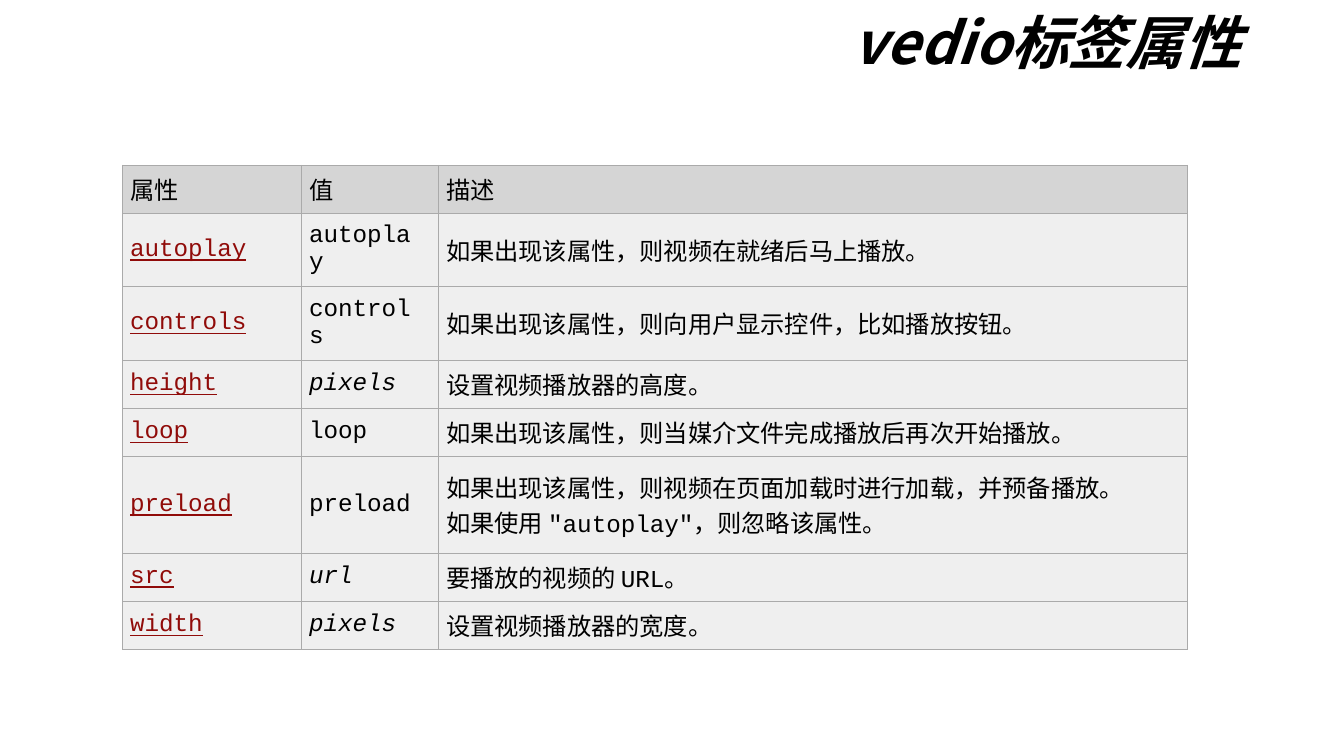
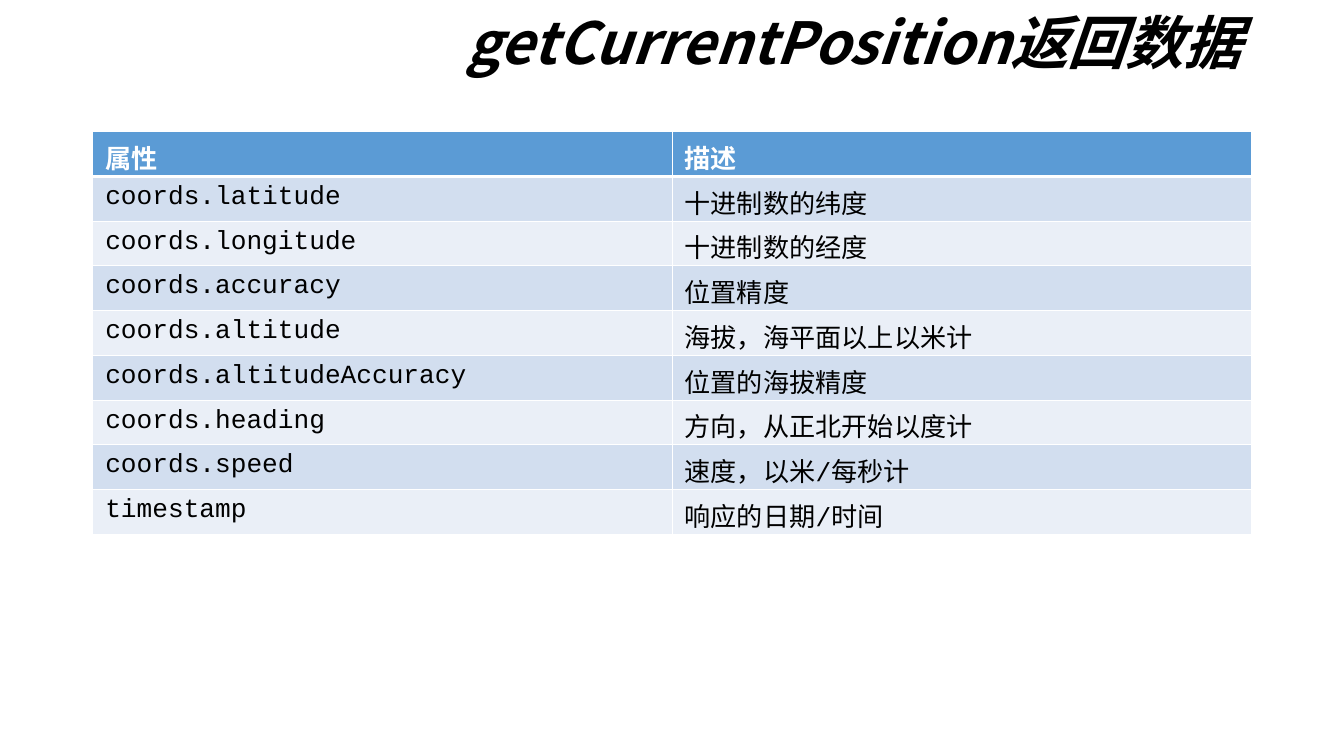
from lxml import etree
from pptx import Presentation
from pptx import util as u
from pptx.dml import color
from pptx.enum import text as t
from pptx.oxml import ns

COLORS = {
    "ink": "000000",
    "paper": "FFFFFF",
    "link": "900B09",
    "grey_line": "AAAAAA",
    "grey_head": "D5D5D5",
    "grey_body": "EFEFEF",
    "blue_head": "5B9BD5",
    "blue_odd": "D2DEEF",
    "blue_even": "EAEFF7",
}
CODE, HAN = "Courier New", "Noto Sans CJK JP"
TITLE_BOX = (3.47, 0, 20.17, 1.73)

ATTRIBUTES = [
    ("属性", "值", "描述"),
    ("autoplay", "autoplay", "如果出现该属性，则视频在就绪后马上播放。"),
    ("controls", "controls", "如果出现该属性，则向用户显示控件，比如播放按钮。"),
    ("height", "pixels", "设置视频播放器的高度。"),
    ("loop", "loop", "如果出现该属性，则当媒介文件完成播放后再次开始播放。"),
    ("preload", "preload",
     "如果出现该属性，则视频在页面加载时进行加载，并预备播放。\n"
     "如果使用 \"autoplay\"，则忽略该属性。"),
    ("src", "url", "要播放的视频的 URL。"),
    ("width", "pixels", "设置视频播放器的宽度。"),
]
PLACEHOLDER_VALUES = {"pixels", "url"}

COORDINATES = [
    ("属性", "描述"),
    ("coords.latitude", "十进制数的纬度"),
    ("coords.longitude", "十进制数的经度"),
    ("coords.accuracy", "位置精度"),
    ("coords.altitude", "海拔，海平面以上以米计"),
    ("coords.altitudeAccuracy", "位置的海拔精度"),
    ("coords.heading", "方向，从正北开始以度计"),
    ("coords.speed", "速度，以米/每秒计"),
    ("timestamp", "响应的日期/时间"),
]


def write(frame, words, size, ink="ink", latin=CODE, bold=False, italic=False,
          underline=False, align=t.PP_ALIGN.LEFT, spacing=None):
    for index, line in enumerate(words.split("\n")):
        paragraph = frame.add_paragraph() if index else frame.paragraphs[0]
        paragraph.alignment = align
        if spacing:
            paragraph.line_spacing = spacing
        run = paragraph.add_run()
        run.text = line
        font = run.font
        font.size = u.Pt(size)
        font.bold, font.italic, font.underline = bold, italic, underline
        font.color.rgb = color.RGBColor.from_string(COLORS[ink])
        font.name = latin
        etree.SubElement(run.font._element, ns.qn("a:ea"), typeface=HAN)


def set_margins(holder, sides):
    (holder.margin_left, holder.margin_top,
     holder.margin_right, holder.margin_bottom) = map(u.Cm, sides)


def title_bar(slide, box, words):
    title = slide.shapes.title
    title.left, title.top, title.width, title.height = map(u.Cm, box)
    frame = title.text_frame
    frame.auto_size = t.MSO_AUTO_SIZE.NONE
    frame.word_wrap = True
    frame.vertical_anchor = t.MSO_ANCHOR.MIDDLE
    set_margins(frame, (0.18, 0.1, 0.18, 0.1))
    write(frame, words, 31, latin=HAN, bold=True, italic=True,
          align=t.PP_ALIGN.RIGHT, spacing=0.9)


def plain_table(slide, box, widths, heights):
    table = slide.shapes.add_table(len(heights), len(widths), *map(u.Cm, box)).table
    table.first_row = table.horz_banding = False
    for column, width in zip(table.columns, widths):
        column.width = u.Cm(width)
    for row, height in zip(table.rows, heights):
        row.height = u.Cm(height)
    return table


def dress_cell(cell, fill, line, widths, margins, anchor):
    properties = cell._tc.get_or_add_tcPr()
    for side, width in zip("LRTB", widths):
        border = etree.SubElement(properties, ns.qn("a:ln" + side), w=str(u.Pt(width)))
        solid = etree.SubElement(border, ns.qn("a:solidFill"))
        etree.SubElement(solid, ns.qn("a:srgbClr"), val=COLORS[line])
    cell.fill.solid()
    cell.fill.fore_color.rgb = color.RGBColor.from_string(COLORS[fill])
    set_margins(cell, margins)
    cell.vertical_anchor = anchor


def attribute_table(slide, box, rows):
    low, middle, high = 0.84, 1.39, 1.82
    heights = [0.79, middle, middle, low, low, high, low, low]
    table = plain_table(slide, box, (3.38, 2.59, 14.15), heights)
    for r, row in enumerate(rows):
        for c, words in enumerate(row):
            cell = table.cell(r, c)
            dress_cell(cell, "grey_body" if r else "grey_head", "grey_line",
                       [0.34] * 4, (0.14, 0.12, 0.36, 0.13), t.MSO_ANCHOR.MIDDLE)
            linked = r > 0 and c == 0
            write(cell.text_frame, words, 13, ink="link" if linked else "ink",
                  underline=linked, italic=c == 1 and words in PLACEHOLDER_VALUES)


def coordinate_table(slide, box, rows):
    thin, thick = 0.45, 1.47
    table = plain_table(slide, box, [box[2] / 2] * 2, [box[3] / len(rows)] * len(rows))
    for r, row in enumerate(rows):
        fill = "blue_head" if r == 0 else "blue_odd" if r % 2 else "blue_even"
        borders = (thin, thin, thick if r == 1 else thin, thick if r == 0 else thin)
        for c, words in enumerate(row):
            cell = table.cell(r, c)
            dress_cell(cell, fill, "paper", borders,
                       (0.24, 0.12, 0.24, 0), t.MSO_ANCHOR.TOP)
            write(cell.text_frame, words, 14, ink="ink" if r else "paper", bold=r == 0)


def add_page(deck, heading, fill_body, box, rows):
    slide = deck.slides.add_slide(deck.slide_layouts[5])
    title_bar(slide, TITLE_BOX, heading)
    fill_body(slide, box, rows)


deck = Presentation()
deck.slide_width, deck.slide_height = u.Cm(25.4), u.Cm(14.29)
add_page(deck, "vedio标签属性", attribute_table, (2.32, 3.12, 20.12, 8.74), ATTRIBUTES)
add_page(deck, "getCurrentPosition返回数据", coordinate_table,
         (1.75, 2.49, 21.9, 7.61), COORDINATES)
deck.save("out.pptx")
